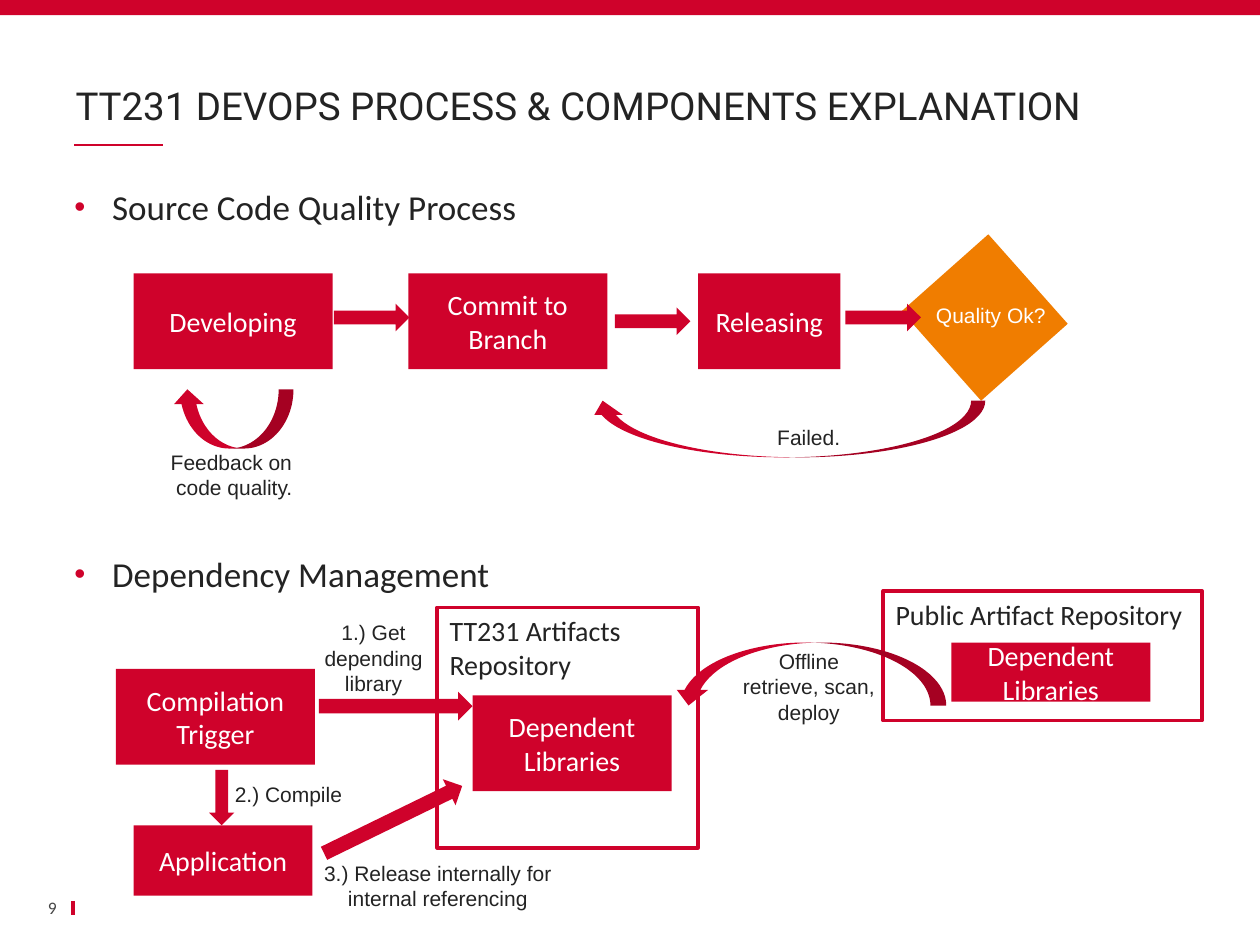
from lxml import etree
from pptx import Presentation
from pptx.dml.color import RGBColor
from pptx.enum import shapes, text
from pptx.oxml import ns
from pptx.util import Inches, Pt

COLORS = {"red": "CF022B", "orange": "F07D00", "white": "FFFFFF", "ink": "232323", "gray": "464646"}
SHAPE = shapes.MSO_SHAPE
ALIGN = text.PP_ALIGN
ANCHOR = text.MSO_ANCHOR
INSETS = (0.1, 0.05, 0.1, 0.05)


def color(name):
    """Return the named colour."""
    return RGBColor.from_string(COLORS[name])


def write(shape, words, size, font, ink, align=ALIGN.LEFT, anchor=ANCHOR.TOP, insets=INSETS, wrap=True):
    """Fill a shape with one paragraph per line of words."""
    frame = shape.text_frame
    frame.word_wrap = wrap
    frame.vertical_anchor = anchor
    frame.margin_left, frame.margin_top, frame.margin_right, frame.margin_bottom = map(Inches, insets)
    frame.text = words
    for para in frame.paragraphs:
        para.alignment = align
        para.font.size = Pt(size)
        para.font.name = font
        para.font.color.rgb = color(ink)
    return frame


def add_text(page, box, words, size, font, ink="ink", **layout):
    """Add a text box."""
    return write(page.shapes.add_textbox(*map(Inches, box)), words, size, font, ink, **layout)


def add_label(page, box, words, ink="ink", align=ALIGN.CENTER, wrap=True):
    """Add a small caption."""
    add_text(page, box, words, 12, "Arial", ink, align=align, wrap=wrap)


def add_block(page, box, fill="red", kind=SHAPE.RECTANGLE, rotation=0, flips=()):
    """Add a plain filled shape."""
    shape = page.shapes.add_shape(kind, *map(Inches, box))
    shape.shadow.inherit = False
    shape.fill.solid()
    shape.fill.fore_color.rgb = color(fill)
    shape.line.fill.background()
    shape.rotation = rotation
    for flip in flips:
        shape.element.spPr.get_or_add_xfrm().set(flip, "1")
    return shape


def add_step(page, box, words):
    """Add a red step with centred white words."""
    write(add_block(page, box), words, 16, "Calibri", "white", ALIGN.CENTER, ANCHOR.MIDDLE)


def add_repository(page, box, words):
    """Add an outlined repository frame with its heading."""
    frame = add_block(page, box, "white")
    frame.line.color.rgb = color("red")
    frame.line.width = Pt(2)
    write(frame, words, 16, "Calibri", "ink")


def add_arrow(page, box, rotation=0):
    """Add a straight block arrow."""
    add_block(page, box, kind=SHAPE.RIGHT_ARROW, rotation=rotation)


def add_return(page, box, flips=("flipH",)):
    """Add a curved arrow that leads back to the left."""
    add_block(page, box, kind=SHAPE.CURVED_UP_ARROW, flips=flips)


def add_rule(page, start, end, width):
    """Add a red line."""
    rule = page.shapes.add_connector(shapes.MSO_CONNECTOR.STRAIGHT, *map(Inches, start + end))
    rule.line.color.rgb = color("red")
    rule.line.width = Pt(width)
    etree.SubElement(rule.element.spPr, ns.qn("a:effectLst"))


def add_frame(page, width):
    """Add the top band, the title and the page number."""
    add_block(page, (0, 0, width, 0.12))
    add_rule(page, (0.59, 1.15), (1.29, 1.15), 1)
    add_rule(page, (0.58, 7.15), (0.58, 7.26), 2.25)
    insets = (0, 0.05, 0, 0.05)
    title = add_text(page, (0.6, 0.21, 8.8, 0.86), "TT231 DEVOPS PROCESS & COMPONENTS EXPLANATION",
                     22, "Roboto", "ink", anchor=ANCHOR.BOTTOM, insets=insets)
    title.paragraphs[0].line_spacing = 0.9
    add_text(page, (0.13, 7.11, 0.32, 0.18), "9", 10, "Calibri", "gray",
             align=ALIGN.RIGHT, anchor=ANCHOR.MIDDLE, insets=insets)


def add_topics(page, box, topics, gap):
    """Add bulleted topics, a gap in points apart."""
    frame = add_text(page, box, "\n".join(topics), 20, "Calibri", insets=(0, 0, 0, 0))
    for index, para in enumerate(frame.paragraphs):
        para.space_before = Pt(gap if index else 0)
        props = para._p.get_or_add_pPr()
        props.set("marL", str(Inches(0.3)))
        props.set("indent", str(-Inches(0.3)))
        bullet = [("buClr", {}), ("buSzPct", {"val": "90000"}),
                  ("buFont", {"typeface": "Arial"}), ("buChar", {"char": "•"})]
        marks = [etree.Element(ns.qn("a:" + tag), values) for tag, values in bullet]
        etree.SubElement(marks[0], ns.qn("a:srgbClr"), val=COLORS["red"])
        place = len(props.findall(ns.qn("a:spcBef")))
        for offset, mark in enumerate(marks):
            props.insert(place + offset, mark)


def add_quality_process(page, left, top):
    """Add the source code quality flow."""
    def at(x, y, width, height):
        return left + x, top + y, width, height

    for x, width, words in [(0, 1.58, "Developing"), (2.18, 1.58, "Commit to Branch"), (4.48, 1.13, "Releasing")]:
        add_step(page, at(x, 0, width, 0.76), words)
    add_block(page, at(6.28, -0.11, 0.95, 0.92), "orange", rotation=48.4)
    add_label(page, at(6.27, 0.18, 1.08, 0.3), "Quality Ok?", "white", ALIGN.LEFT, False)
    for x, y in [(1.59, 0.24), (3.82, 0.27), (5.65, 0.24)]:
        add_arrow(page, at(x, y, 0.6, 0.22))
    add_return(page, at(0.31, 0.92, 0.96, 0.47))
    add_return(page, at(3.61, 1.01, 3.15, 0.45))
    add_label(page, at(5.01, 1.15, 0.71, 0.3), "Failed.", align=ALIGN.LEFT, wrap=False)
    add_label(page, at(0.19, 1.35, 1.22, 0.5), "Feedback on \ncode quality.", wrap=False)


def add_dependency_management(page, left, top):
    """Add the dependency flow between builds and repositories."""
    def at(x, y, width, height):
        return left + x, top + y, width, height

    add_repository(page, at(2.55, 0.13, 2.07, 1.91), "TT231 Artifacts Repository")
    add_repository(page, at(6.09, 0, 2.53, 1.03), "Public Artifact Repository")
    for box, words in [
        ((0, 0.62, 1.58, 0.76), "Compilation Trigger"),
        ((2.83, 0.83, 1.58, 0.76), "Dependent Libraries"),
        ((0.14, 1.86, 1.42, 0.56), "Application"),
        ((6.63, 0.41, 1.58, 0.47), "Dependent Libraries"),
    ]:
        add_step(page, at(*box), words)
    for box, rotation in [((1.61, 0.8, 1.22, 0.23), 0), ((0.62, 1.54, 0.44, 0.2), 90),
                          ((1.59, 1.7, 1.22, 0.23), 334)]:
        add_arrow(page, at(*box), rotation)
    add_return(page, at(4.42, 0.41, 2.17, 0.5), ("flipH", "flipV"))
    for box, words in [
        ((1.54, 0.18, 1.01, 0.71), "1.) Get depending library"),
        ((0.74, 1.46, 1.26, 0.3), "2.) Compile"),
        ((1.53, 2.09, 2.05, 0.5), "3.) Release internally for internal referencing"),
        ((4.87, 0.41, 1.26, 0.71), "Offline retrieve, scan, deploy"),
    ]:
        add_label(page, at(*box), words)


def build():
    """Build and save the deck."""
    deck = Presentation()
    deck.slide_width, deck.slide_height = Inches(10), Inches(7.5)
    page = deck.slides.add_slide(deck.slide_layouts[6])
    add_frame(page, 10)
    add_topics(page, (0.59, 1.47, 8.85, 5.12), ["Source Code Quality Process", "Dependency Management"], 186)
    add_quality_process(page, 1.06, 2.17)
    add_dependency_management(page, 0.92, 4.69)
    deck.save("out.pptx")


build()
